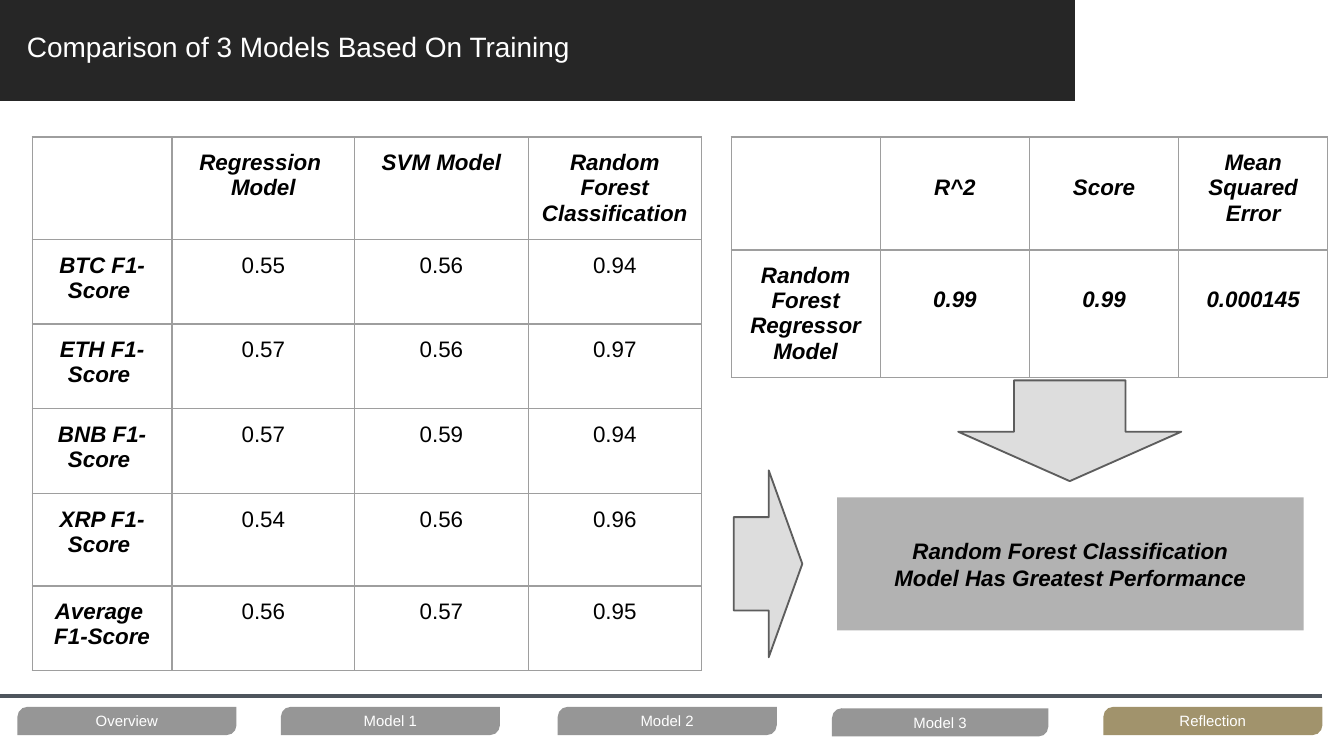
from lxml import etree
from pptx import Presentation
from pptx.dml.color import RGBColor
from pptx.enum.shapes import MSO_CONNECTOR, MSO_SHAPE
from pptx.enum.text import MSO_ANCHOR, MSO_AUTO_SIZE, PP_ALIGN
from pptx.oxml.ns import qn
from pptx.util import Inches, Pt

CENTER, LEFT = PP_ALIGN.CENTER, PP_ALIGN.LEFT
MIDDLE = MSO_ANCHOR.MIDDLE
NO_AUTOFIT = MSO_AUTO_SIZE.NONE
TAB_SHAPE = MSO_SHAPE.ROUND_2_DIAG_RECTANGLE
DOWN_ARROW = MSO_SHAPE.DOWN_ARROW
RECTANGLE = MSO_SHAPE.RECTANGLE
PARALLELOGRAM = MSO_SHAPE.PARALLELOGRAM
STRAIGHT = MSO_CONNECTOR.STRAIGHT
TITLE_ONLY = 5

BLACK, WHITE, GRID = "000000", "FFFFFF", "9E9E9E"
FORMATS = {
    "title": {"size": Pt(15), "bold": False, "italic": False},
    "tab": {"size": Pt(8), "bold": False, "italic": False},
    "value": {"size": Pt(12), "bold": False, "italic": False},
    "strong": {"size": Pt(12), "bold": True, "italic": True},
}


def rgb(color):
    return RGBColor.from_string(color)


def write(frame, lines, style, color=BLACK, align=CENTER):
    """Each line is a paragraph; a newline inside it is a line break."""
    for index, line in enumerate(lines):
        para = frame.paragraphs[0] if index == 0 else frame.add_paragraph()
        para.alignment = align
        para.text = line
        for line_break in para._p.findall(qn("a:br")):
            size = FORMATS[style]["size"].centipoints
            etree.SubElement(line_break, qn("a:rPr"), sz=str(size))
        for span in para.runs:
            span.font.name = "Arial"
            span.font.color.rgb = rgb(color)
            for name, value in FORMATS[style].items():
                setattr(span.font, name, value)


def set_margins(target, horizontal, vertical):
    target.margin_left = target.margin_right = Inches(horizontal)
    target.margin_top = target.margin_bottom = Inches(vertical)


def add_panel(page, kind, box, fill, line=None, adjustments=()):
    panel = page.shapes.add_shape(kind, *map(Inches, box))
    panel.shadow.inherit = False
    panel.fill.solid()
    panel.fill.fore_color.rgb = rgb(fill)
    if line:
        panel.line.color.rgb = rgb(line)
        panel.line.width = Pt(1)
    else:
        panel.line.fill.background()
    for index, value in enumerate(adjustments):
        panel.adjustments[index] = value
    return panel


def add_header(page, box, text):
    left, top, width, height = box
    add_panel(page, PARALLELOGRAM, box, "262626", adjustments=[0])
    title = page.shapes.title
    title.left, title.top = Inches(left + 0.13), Inches(top + 0.06)
    title.width, title.height = Inches(width - 0.44), Inches(height - 0.15)
    frame = title.text_frame
    frame.word_wrap = True
    frame.auto_size = NO_AUTOFIT
    frame.vertical_anchor = MIDDLE
    set_margins(frame, 0.07, 0.04)
    write(frame, [text], "title", WHITE, LEFT)
    frame.paragraphs[0].line_spacing = 0.9
    # Bring the title in front of its band
    title.element.getparent().append(title.element)


def add_navigation(page, top, width, tabs, current):
    rule = page.shapes.add_connector(
        STRAIGHT, 0, Inches(top), Inches(width), Inches(top))
    rule.line.color.rgb = rgb("4E555D")
    rule.line.width = Pt(2.25)
    etree.SubElement(rule.element.spPr, qn("a:effectLst"))
    for label, left, drop, tab_width in tabs:
        fill = "A1936C" if label == current else "969696"
        tab = add_panel(page, TAB_SHAPE, (left, top + drop, tab_width, 0.21),
                        fill, adjustments=[0.35, 0])
        tab.text_frame.vertical_anchor = MIDDLE
        set_margins(tab.text_frame, 0.06, 0.03)
        write(tab.text_frame, [label], "tab", WHITE)


def rule_cell(cell):
    properties = cell._tc.get_or_add_tcPr()
    for side in ("a:lnL", "a:lnR", "a:lnT", "a:lnB"):
        border = etree.SubElement(properties, qn(side), w=str(Pt(0.75)))
        fill = etree.SubElement(border, qn("a:solidFill"))
        etree.SubElement(fill, qn("a:srgbClr"), val=GRID)
    cell.fill.background()


def add_score_table(page, left, top, widths, heights, rows, value_style,
                    lowered=()):
    """Lowered cells start one text line below the others."""
    table = page.shapes.add_table(
        len(heights), len(widths), Inches(left), Inches(top),
        Inches(sum(widths)), Inches(sum(heights))).table
    table.first_row = table.horz_banding = False
    for column, width in zip(table.columns, widths):
        column.width = Inches(width)
    for row, height in zip(table.rows, heights):
        row.height = Inches(height)
    for row_index, row in enumerate(rows):
        for column_index, text in enumerate(row):
            cell = table.cell(row_index, column_index)
            rule_cell(cell)
            set_margins(cell, 0.1, 0.1)
            if (row_index, column_index) in lowered:
                cell.margin_top = Inches(0.28)
            if text:
                heading = row_index == 0 or column_index == 0
                lines = [text] if isinstance(text, str) else text
                write(cell.text_frame, lines,
                      "strong" if heading else value_style)


def add_conclusion(page, box, lines):
    left, top, width, height = box
    arrow = {"fill": "DDDDDD", "line": "5D5D5D", "adjustments": [0.5, 0.49]}
    # Arrow from the regressor table above
    add_panel(page, DOWN_ARROW, (left + 0.9, top - 0.87, 1.66, 0.75), **arrow)
    panel = add_panel(page, RECTANGLE, box, "B2B2B2")
    panel.text_frame.word_wrap = True
    panel.text_frame.vertical_anchor = MIDDLE
    set_margins(panel.text_frame, 0.07, 0.04)
    write(panel.text_frame, lines, "strong")
    # Arrow from the classification table on the left
    side = add_panel(page, DOWN_ARROW,
                     (left - 1.21, top + 0.24, 1.39, 0.51), **arrow)
    side.rotation = 270


def main():
    deck = Presentation()
    # Widescreen page, 16 by 9
    deck.slide_width, deck.slide_height = Inches(10), Inches(10 * 9 / 16)
    page = deck.slides.add_slide(deck.slide_layouts[TITLE_ONLY])

    add_header(page, (0, 0, 8, 0.75), "Comparison of 3 Models Based On Training")
    add_navigation(page, 5.18, 9.84, [
        ("Overview", 0.13, 0.08, 1.63), ("Model 1", 2.09, 0.08, 1.63),
        ("Model 2", 4.15, 0.08, 1.63), ("Model 3", 6.19, 0.09, 1.61),
        ("Reflection", 8.21, 0.08, 1.63)], "Reflection")

    # F1 scores of the classifiers
    add_score_table(
        page, 0.24, 1.02, [1.04, 1.36, 1.29, 1.29],
        [0.76, 0.63, 0.63, 0.63, 0.69, 0.63], [
            ["", "Regression \nModel", "SVM Model",
             "Random Forest Classification"],
            ["BTC F1-Score ", "0.55", "0.56", "0.94"],
            ["ETH F1-Score ", "0.57", "0.56", "0.97"],
            ["BNB F1-Score ", "0.57", "0.59", "0.94"],
            ["XRP F1-Score ", "0.54", "0.56", "0.96"],
            ["Average \nF1-Score", "0.56", "0.57", "0.95"],
        ], "value")

    # Fit of the regressor
    add_score_table(
        page, 5.44, 1.02, [1.11] * 4, [0.84, 0.94], [
            ["", "R^2", "Score", "Mean Squared Error"],
            [["Random Forest Regressor", "Model"], "0.99", "0.99", "0.000145"],
        ], "strong", lowered=[(0, 1), (0, 2), (1, 1), (1, 2), (1, 3)])

    add_conclusion(page, (6.23, 3.7, 3.47, 0.99), [
        "Random Forest Classification", "Model Has Greatest Performance"])
    deck.save("out.pptx")


if __name__ == "__main__":
    main()
